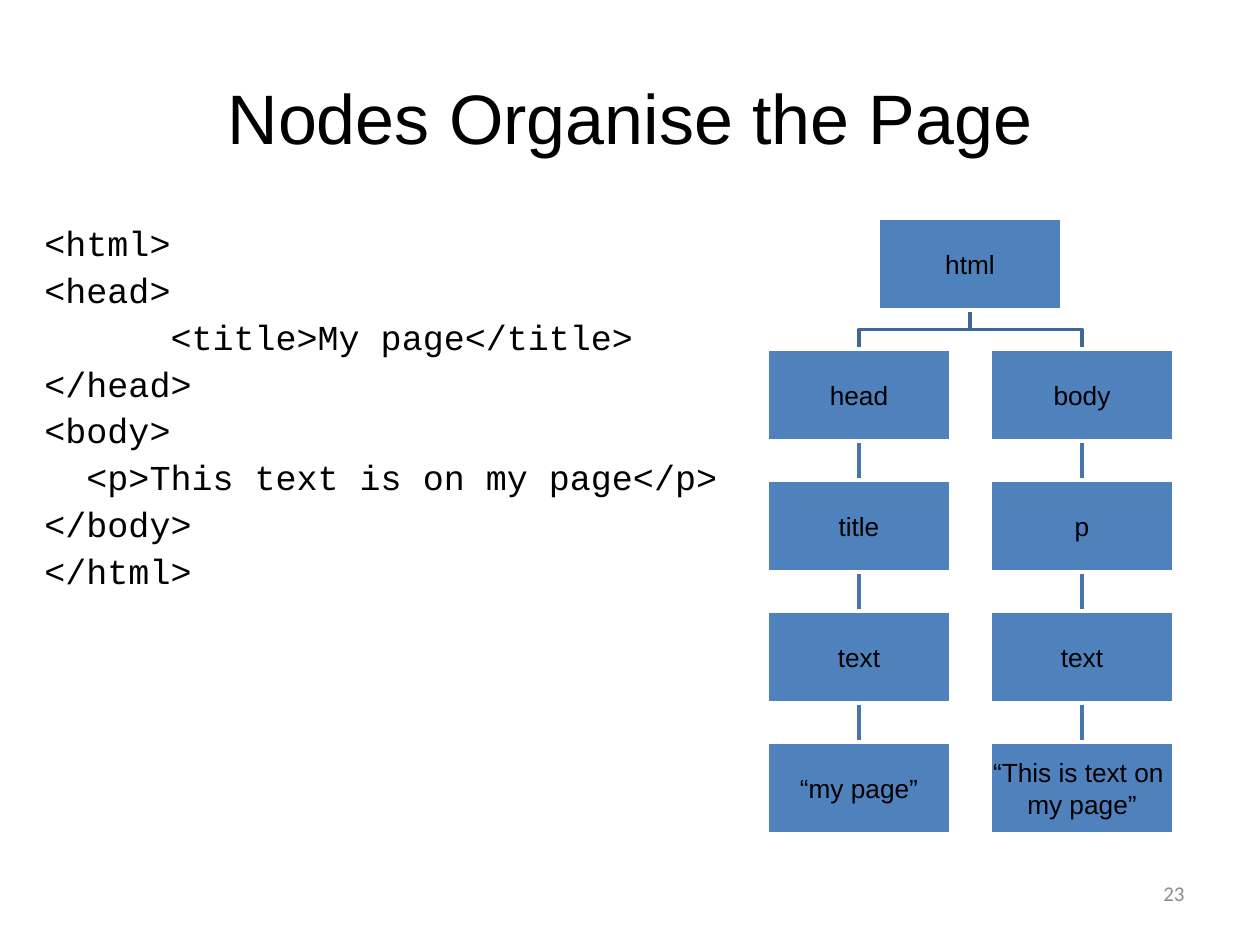
"""Build a slide that sets HTML source beside its tree of nodes."""
from typing import NamedTuple

from pptx import Presentation
from pptx.dml.color import RGBColor
from pptx.enum.shapes import MSO_CONNECTOR as CONN, MSO_SHAPE as SHAPE
from pptx.enum.text import MSO_ANCHOR as ANCHOR, PP_ALIGN as ALIGN
from pptx.oxml.ns import qn
from pptx.util import Pt

PX = 914400 // 126
BOX_W, BOX_H = 184, 92
TOP, LEFT, ROW_STEP, COL_STEP = 218, 767, 131, 223
CODE = """<html>
<head>
      <title>My page</title>
</head>
<body>
  <p>This text is on my page</p>
</body>
</html>"""


class Node(NamedTuple):
    text: str
    x: int
    y: int


def rgb(value: str) -> RGBColor:
    return RGBColor.from_string(value)


def write(sp, text: str, *, font="Arial", size=15, color="000000", align=ALIGN.CENTER,
          anchor=ANCHOR.MIDDLE, margin=None, line=None, before=0) -> None:
    tf = sp.text_frame
    tf.word_wrap = True
    tf.vertical_anchor = anchor
    if margin is not None:
        tf.margin_left = tf.margin_right = tf.margin_top = tf.margin_bottom = margin * PX
    for i, words in enumerate(text.split("\n")):
        p = tf.add_paragraph() if i else tf.paragraphs[0]
        p.text = words
        p.alignment = align
        p.line_spacing = line
        p.space_before = Pt(before if i else 0)
        for r in p.runs:
            r.font.name, r.font.size = font, Pt(size)
            r.font.color.rgb = rgb(color)


def add_text(slide, x: int, y: int, w: int, h: int, text: str, **style) -> None:
    write(slide.shapes.add_textbox(x * PX, y * PX, w * PX, h * PX), text, **style)


def add_node(slide, node: Node):
    sp = slide.shapes.add_shape(SHAPE.RECTANGLE, node.x * PX, node.y * PX,
                                BOX_W * PX, BOX_H * PX)
    sp.shadow.inherit = False
    sp.fill.solid()
    sp.fill.fore_color.rgb = rgb("4F81BD")
    sp.line.color.rgb = rgb("FFFFFF")
    sp.line.width = Pt(2)
    write(sp, node.text, margin=1)
    return sp


def style_link(slide, link, color: str) -> None:
    link.line.color.rgb = rgb(color)
    link.line.width = Pt(2)
    slide.shapes._spTree.insert(2, link._element)


def link_down(slide, parent, child) -> None:
    link = slide.shapes.add_connector(CONN.STRAIGHT, 0, 0, 0, 0)
    link.begin_connect(parent, 2)
    link.end_connect(child, 0)
    sp_pr = link._element.spPr
    style_link(slide, link, "4875AC")
    sp_pr.append(sp_pr.makeelement(qn("a:effectLst"), {}))


def link_branch(slide, parent, child) -> None:
    x1, y1 = parent.left + parent.width // 2, parent.top + parent.height
    x2, y2 = child.left + child.width // 2, child.top
    mid = (y1 + y2) // 2
    builder = slide.shapes.build_freeform(x1, y1)
    builder.add_line_segments([(x1, mid), (x2, mid), (x2, y2)], close=False)
    link = builder.convert_to_shape()
    link.shadow.inherit = False
    link.fill.background()
    style_link(slide, link, "3F6797")


def main() -> None:
    prs = Presentation()
    prs.slide_width, prs.slide_height = 1260 * PX, 945 * PX
    slide = prs.slides.add_slide(prs.slide_layouts[6])
    add_text(slide, 903, 861, 294, 65, "23", font="Calibri", size=12,
             color="8C8C8C", align=ALIGN.RIGHT)
    add_text(slide, 63, 38, 1134, 157, "Nodes Organise the Page", size=40)
    add_text(slide, 32, 220, 703, 624, CODE, font="Courier New", size=20,
             align=ALIGN.LEFT, anchor=ANCHOR.TOP, line=0.9, before=5.2)

    root = add_node(slide, Node("html", LEFT + COL_STEP // 2, TOP))
    branches = [["head", "title", "text", "“my page”"],
                ["body", "p", "text", "“This is text on \vmy page”"]]
    for col, names in enumerate(branches):
        boxes = [add_node(slide, Node(name, LEFT + col * COL_STEP, TOP + row * ROW_STEP))
                 for row, name in enumerate(names, start=1)]
        link_branch(slide, root, boxes[0])
        for parent, child in zip(boxes, boxes[1:]):
            link_down(slide, parent, child)
    prs.save("out.pptx")


if __name__ == "__main__":
    main()
